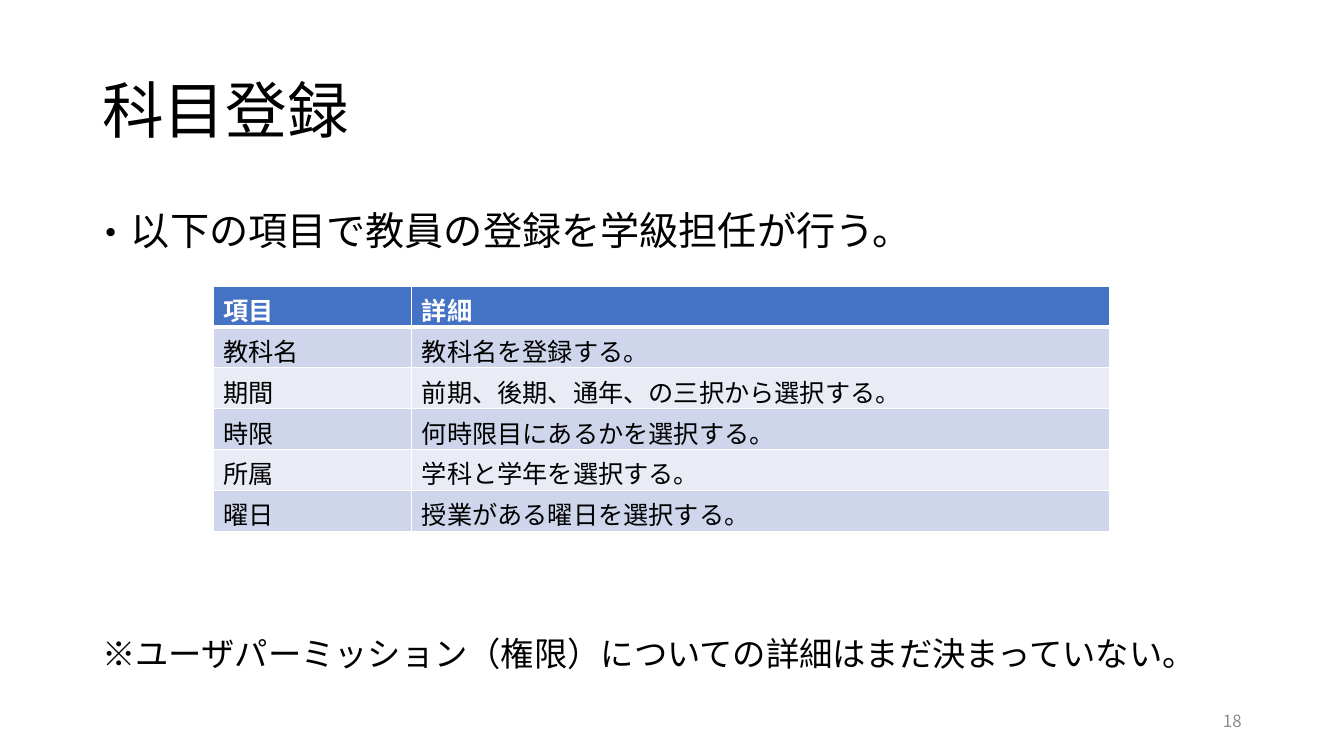
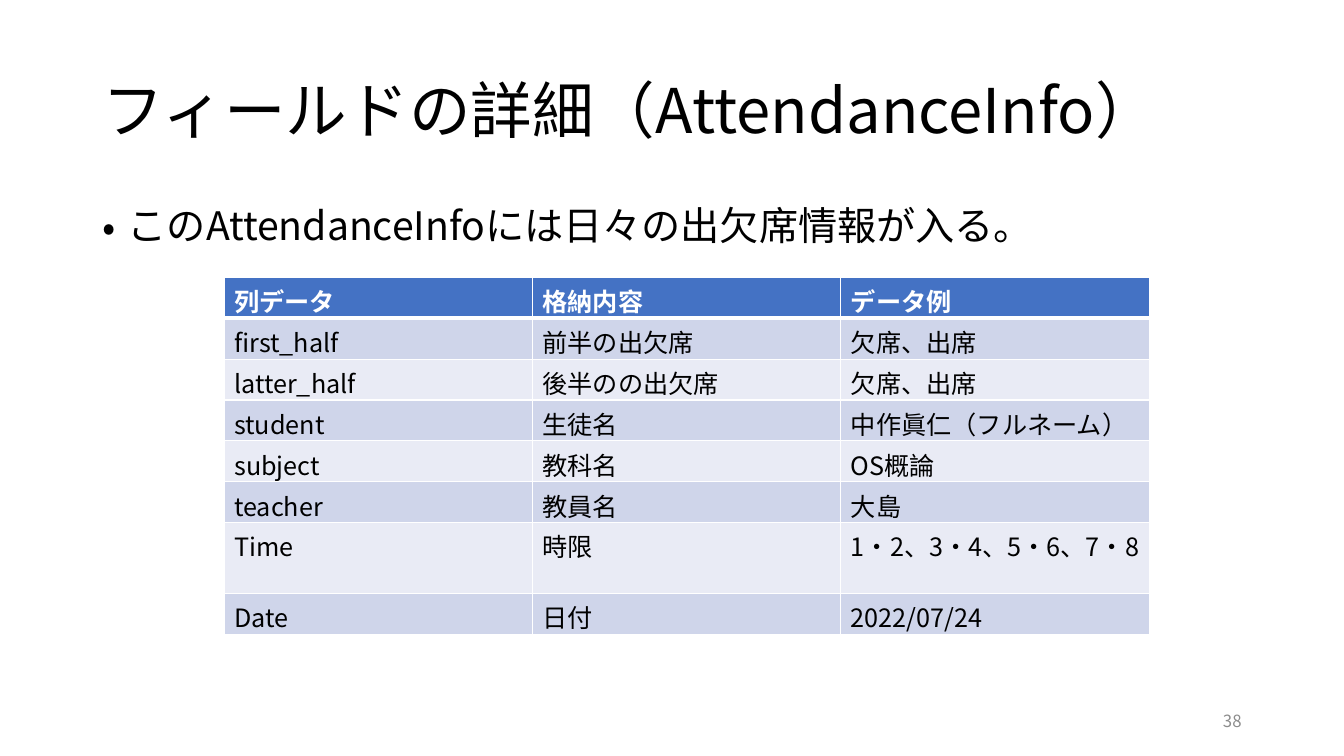
from lxml import etree
from pptx import Presentation
from pptx import util as u
from pptx.dml.color import RGBColor
from pptx.enum import text
from pptx.oxml import ns

FONT = "Noto Sans CJK JP"
BLACK = RGBColor(0x00, 0x00, 0x00)
WHITE = RGBColor(0xFF, 0xFF, 0xFF)
GREY = RGBColor(0x8C, 0x8C, 0x8C)
HEADER_BLUE = RGBColor(0x44, 0x72, 0xC4)
BANDS = [RGBColor(0xCF, 0xD5, 0xEA), RGBColor(0xE9, 0xEB, 0xF5)]

LEFT = 2.33
WIDTH = 29.21
ROW_HEIGHT = 1.03

PAGES = [
    {
        "title": "科目登録",
        "number": "18",
        "lead": "以下の項目で教員の登録を学級担任が行う。",
        "lead_place": (2.06, 5.21),
        "bullet": ("・", 0.99),
        "table_place": (5.38, 7.21),
        "columns": [5.0, 17.58],
        "rows": [
            ["項目", "詳細"],
            ["教科名", "教科名を登録する。"],
            ["期間", "前期、後期、通年、の三択から選択する。"],
            ["時限", "何時限目にあるかを選択する。"],
            ["所属", "学科と学年を選択する。"],
            ["曜日", "授業がある曜日を選択する。"],
        ],
        "note": "※ユーザパーミッション（権限）についての詳細はまだ決まっていない。",
    },
    {
        "title": "フィールドの詳細（AttendanceInfo）",
        "number": "38",
        "lead": "このAttendanceInfoには日々の出欠席情報が入る。",
        "lead_place": (LEFT, 5.07),
        "bullet": ("•", 0.64),
        "table_place": (5.65, 6.99),
        "columns": [7.77] * 3,
        "rows": [
            ["列データ", "格納内容", "データ例"],
            ["first_half", "前半の出欠席", "欠席、出席"],
            ["latter_half", "後半のの出欠席", "欠席、出席"],
            ["student", "生徒名", "中作眞仁（フルネーム）"],
            ["subject", "教科名", "OS概論"],
            ["teacher", "教員名", "大島"],
            ["Time", "時限", "1・2、3・4、5・6、7・8"],
            ["Date", "日付", "2022/07/24"],
        ],
        "note": None,
    },
]


def add_span(para, words, size, color=BLACK, bold=False):
    span = para.add_run()
    span.text = words
    span.font.size = u.Pt(size)
    span.font.bold = bold
    span.font.color.rgb = color
    span.font.name = FONT
    east_asian = etree.SubElement(span._r.get_or_add_rPr(), ns.qn("a:ea"))
    east_asian.set("typeface", FONT)


def add_text(page, place, words, size, color=BLACK, spacing=None, middle=False):
    box = page.shapes.add_textbox(*[u.Cm(length) for length in place])
    frame = box.text_frame
    frame.word_wrap = True
    if middle:
        frame.vertical_anchor = text.MSO_ANCHOR.MIDDLE
    para = frame.paragraphs[0]
    para.line_spacing = spacing
    add_span(para, words, size, color)
    return para


deck = Presentation()
deck.slide_width = u.Cm(33.87)
deck.slide_height = u.Cm(19.05)

for content in PAGES:
    page = deck.slides.add_slide(deck.slide_layouts[6])
    add_text(page, (LEFT, 1.01, WIDTH, 3.68), content["title"], 44, spacing=0.9, middle=True)

    lead = add_text(page, (*content["lead_place"], WIDTH, 1.63), content["lead"], 28, spacing=0.9)
    mark, indent = content["bullet"]
    properties = lead._p.get_or_add_pPr()
    properties.set("marL", str(u.Cm(indent)))
    properties.set("indent", str(-u.Cm(indent)))
    etree.SubElement(properties, ns.qn("a:buFont")).set("typeface", FONT)
    etree.SubElement(properties, ns.qn("a:buChar")).set("char", mark)

    rows, columns = content["rows"], content["columns"]
    left, top = content["table_place"][1], content["table_place"][0]
    if content["note"]:
        left, top = content["table_place"][0], content["table_place"][1]
    else:
        left, top = content["table_place"]
    table = page.shapes.add_table(
        len(rows), len(columns), u.Cm(left), u.Cm(top),
        u.Cm(sum(columns)), u.Cm(ROW_HEIGHT * len(rows)),
    ).table
    for column, width in zip(table.columns, columns):
        column.width = u.Cm(width)
    for row_index, row in enumerate(rows):
        table.rows[row_index].height = u.Cm(ROW_HEIGHT)
        header = row_index == 0
        for column_index, words in enumerate(row):
            cell = table.cell(row_index, column_index)
            add_span(cell.text_frame.paragraphs[0], words, 18, WHITE if header else BLACK, header)
            cell.fill.solid()
            cell.fill.fore_color.rgb = HEADER_BLUE if header else BANDS[(row_index - 1) % 2]
            borders = {"lnL": 1, "lnR": 1, "lnT": 3 if row_index == 1 else 1, "lnB": 3 if header else 1}
            for position, (side, points) in enumerate(borders.items()):
                line = etree.Element(ns.qn("a:" + side), w=str(u.Pt(points)))
                fill = etree.SubElement(line, ns.qn("a:solidFill"))
                etree.SubElement(fill, ns.qn("a:srgbClr")).set("val", str(WHITE))
                cell._tc.get_or_add_tcPr().insert(position, line)

    if content["note"]:
        add_text(page, (LEFT, 16.03, WIDTH, 1.63), content["note"], 23.8, spacing=0.8)
    number = add_text(page, (23.92, 17.66, 7.62, 1.01), content["number"], 12, GREY, middle=True)
    number.alignment = text.PP_ALIGN.RIGHT

deck.save("out.pptx")
